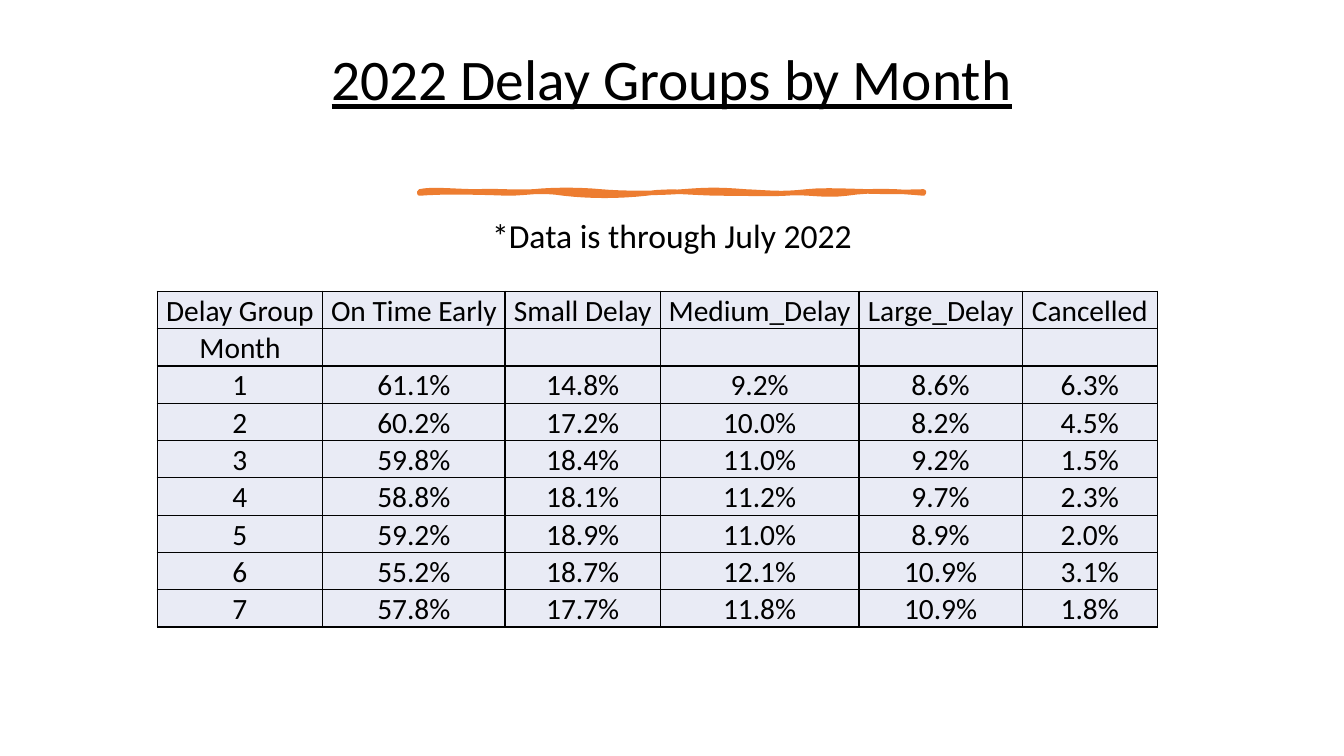
from dataclasses import dataclass

from lxml import etree
from pptx import Presentation
from pptx.dml.color import RGBColor
from pptx.enum.text import MSO_ANCHOR, PP_ALIGN
from pptx.oxml.ns import qn
from pptx.util import Pt

PX = 9144  # EMU in one px, 100 px to the inch
TOP, MIDDLE = MSO_ANCHOR.TOP, MSO_ANCHOR.MIDDLE
CENTER = PP_ALIGN.CENTER


@dataclass(frozen=True)
class Theme:
    font: str = "Calibri"
    ink: str = "000000"
    accent: str = "ED7D31"
    cell: str = "E9EBF5"
    title: int = 41
    note: int = 24
    body: int = 21
    brush: float = 3.25
    grid: int = 1


THEME = Theme()

WIDTHS = [164, 181, 154, 197, 162, 134]
ROW = 37
DELAYS = [
    ["Delay Group", "On Time Early", "Small Delay", "Medium_Delay",
     "Large_Delay", "Cancelled"],
    ["Month", "", "", "", "", ""],
    ["1", "61.1%", "14.8%", "9.2%", "8.6%", "6.3%"],
    ["2", "60.2%", "17.2%", "10.0%", "8.2%", "4.5%"],
    ["3", "59.8%", "18.4%", "11.0%", "9.2%", "1.5%"],
    ["4", "58.8%", "18.1%", "11.2%", "9.7%", "2.3%"],
    ["5", "59.2%", "18.9%", "11.0%", "8.9%", "2.0%"],
    ["6", "55.2%", "18.7%", "12.1%", "10.9%", "3.1%"],
    ["7", "57.8%", "17.7%", "11.8%", "10.9%", "1.8%"],
]

# Brush outline: each curve is two control points and an end point
START = (416, 190)
CURVES = [
    [(428, 187), (454, 190), (473, 190)],
    [(492, 189), (509, 191), (529, 190)],
    [(549, 188), (574, 188), (596, 190)],
    [(617, 192), (653, 192), (677, 190)],
    [(702, 188), (714, 188), (739, 190)],
    [(763, 191), (774, 193), (800, 190)],
    [(826, 187), (867, 192), (916, 190)],
    [(917, 191), (916, 191), (916, 192)],
    [(895, 190), (865, 188), (840, 192)],
    [(815, 195), (801, 190), (779, 192)],
    [(756, 193), (747, 192), (717, 192)],
    [(687, 192), (667, 188), (641, 192)],
    [(614, 195), (585, 195), (559, 192)],
    [(534, 188), (523, 192), (503, 192)],
    [(483, 191), (438, 190), (416, 192)],
]
STEPS = 8


def color(code):
    return RGBColor.from_string(code)


def style(para, size):
    para.alignment = CENTER
    para.font.name = THEME.font
    para.font.size = Pt(size)
    para.font.color.rgb = color(THEME.ink)


def add_text(slide, text, box, size, anchor, under=False):
    frame = slide.shapes.add_textbox(*(n * PX for n in box)).text_frame
    frame.word_wrap = True
    frame.vertical_anchor = anchor
    para = frame.paragraphs[0]
    para.text = text
    para.line_spacing = 0.9
    style(para, size)
    para.font.underline = under


def bezier(start, first, second, end):
    """Points along a cubic curve, in EMU, without its start."""
    for step in range(1, STEPS + 1):
        t = step / STEPS
        u = 1 - t
        yield tuple(
            round(PX * (u**3 * a + 3 * u * u * t * b + 3 * u * t * t * c + t**3 * d))
            for a, b, c, d in zip(start, first, second, end))


def add_brush(slide):
    points, last = [], START
    for curve in CURVES:
        points += bezier(last, *curve)
        last = curve[-1]
    pen = slide.shapes.build_freeform(START[0] * PX, START[1] * PX)
    pen.add_line_segments(points, close=True)
    shape = pen.convert_to_shape()
    shape.shadow.inherit = False
    shape.fill.solid()
    shape.fill.fore_color.rgb = color(THEME.accent)
    shape.line.color.rgb = color(THEME.accent)
    shape.line.width = Pt(THEME.brush)


def add_border(cell):
    props = cell._tc.get_or_add_tcPr()
    for side in ("lnL", "lnR", "lnT", "lnB"):
        line = etree.SubElement(props, qn(f"a:{side}"), w=str(Pt(THEME.grid)))
        fill = etree.SubElement(line, qn("a:solidFill"))
        etree.SubElement(fill, qn("a:srgbClr"), val=THEME.ink)


def add_grid(slide, left, top):
    size = len(DELAYS), len(WIDTHS)
    table = slide.shapes.add_table(
        *size, left * PX, top * PX, sum(WIDTHS) * PX, ROW * len(DELAYS) * PX).table
    table.first_row = table.horz_banding = False
    for col, width in zip(table.columns, WIDTHS):
        col.width = width * PX
    for row, texts in zip(table.rows, DELAYS):
        row.height = ROW * PX
        for cell, text in zip(row.cells, texts):
            cell.margin_left = cell.margin_right = cell.margin_top = 2 * PX
            cell.margin_bottom = 0
            cell.vertical_anchor = MIDDLE
            add_border(cell)
            cell.fill.solid()
            cell.fill.fore_color.rgb = color(THEME.cell)
            para = cell.text_frame.paragraphs[0]
            if text:
                para.text = text
            style(para, THEME.body)


def main():
    deck = Presentation()
    deck.slide_width, deck.slide_height = 1333 * PX, 750 * PX
    slide = deck.slides.add_slide(deck.slide_layouts[6])

    # Heading and note
    add_text(slide, "2022 Delay Groups by Month", (70, 46, 1193, 137),
             THEME.title, TOP, under=True)
    add_text(slide, "*Data is through July 2022", (70, 198, 1193, 75),
             THEME.note, MIDDLE)

    # Brush stroke between them
    add_brush(slide)

    # Share of flights by delay group
    add_grid(slide, 156, 289)

    deck.save("out.pptx")


if __name__ == "__main__":
    main()
